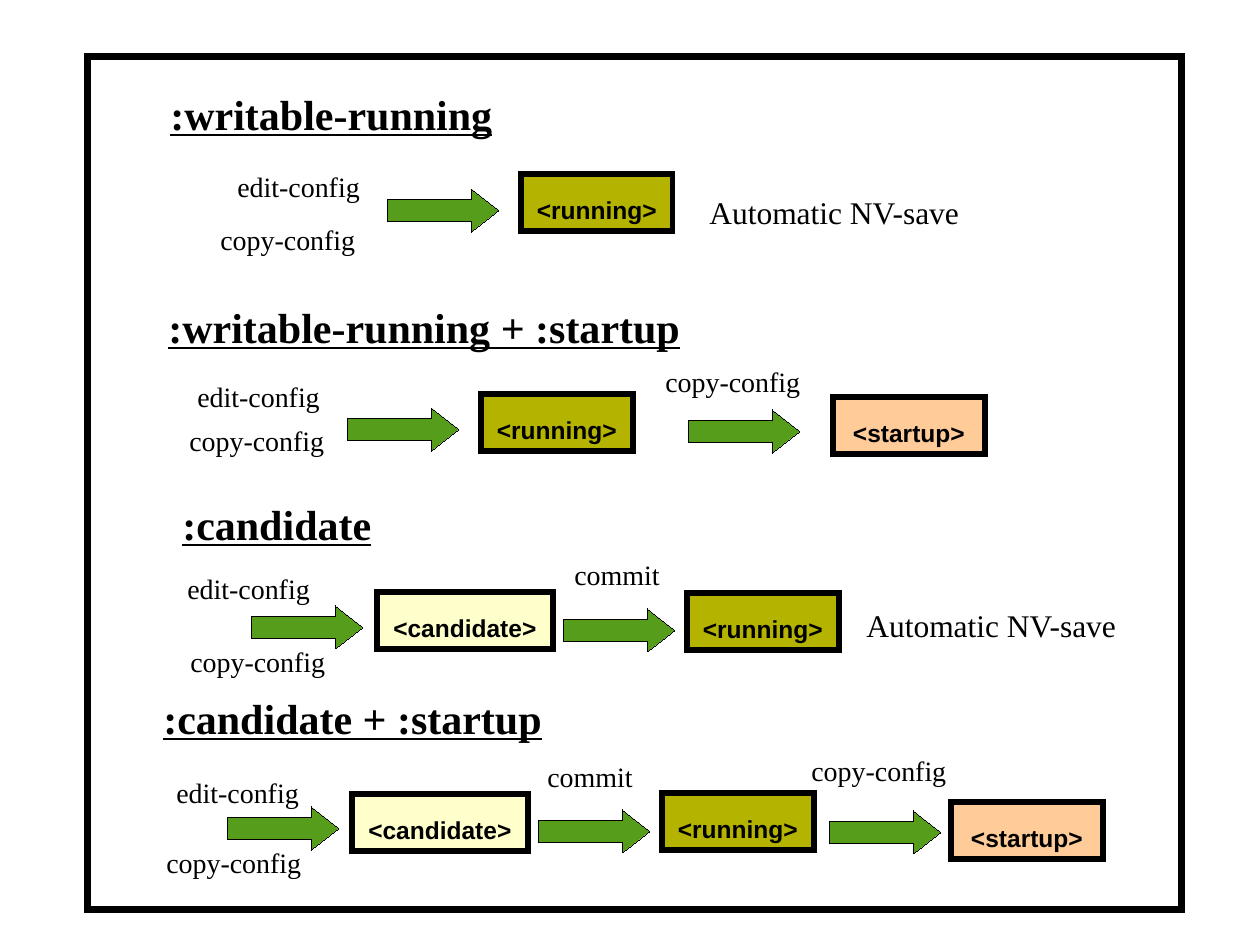
from lxml.etree import SubElement
from pptx import Presentation
from pptx.dml.color import RGBColor
from pptx.enum.shapes import MSO_SHAPE
from pptx.enum.text import MSO_ANCHOR, MSO_AUTO_SIZE, PP_ALIGN
from pptx.oxml.ns import qn
from pptx.util import Pt

PX = 914400 // 126
BLACK, WHITE, GREEN = "000000", "FFFFFF", "579D1C"
SERIF, SANS = "Times New Roman", "Arial"

FRAME = (87, 56, 1095, 854)
ARROW_SIZE = (111, 43)
STORE_HEIGHT = 57

# Datastore: width, fill
STORES = {
    "<running>": (152, "B3B300"),
    "<startup>": (152, "FFCC99"),
    "<candidate>": (176, "FFFFCC"),
}

# Label: width, height, font size
LABELS = {
    "edit-config": (150, 47, 16),
    "copy-config": (162, 47, 16),
    "commit": (113, 47, 16),
    "Automatic NV-save": (278, 50, 18),
}

# Each capability: heading (text, left, top, width), then what its flow holds
CAPABILITIES = [
    {
        "heading": (":writable-running", 158, 82, 348),
        "labels": [("edit-config", 225, 163), ("copy-config", 208, 216),
                   ("Automatic NV-save", 697, 187)],
        "arrows": [(388, 189)],
        "stores": [("<running>", 521, 174)],
    },
    {
        "heading": (":writable-running + :startup", 156, 295, 537),
        "labels": [("edit-config", 185, 373), ("copy-config", 177, 417),
                   ("copy-config", 653, 358)],
        "arrows": [(348, 408), (689, 410)],
        "stores": [("<running>", 481, 394), ("<startup>", 833, 397)],
    },
    {
        "heading": (":candidate", 170, 492, 214),
        "labels": [("edit-config", 175, 565), ("copy-config", 178, 638),
                   ("commit", 562, 551), ("Automatic NV-save", 854, 600)],
        "arrows": [(252, 606), (564, 609)],
        "stores": [("<candidate>", 377, 592), ("<running>", 687, 593)],
    },
    {
        "heading": (":candidate + :startup", 151, 686, 404),
        "labels": [("edit-config", 164, 769), ("copy-config", 154, 839),
                   ("commit", 535, 753), ("copy-config", 799, 747)],
        "arrows": [(228, 807), (539, 810), (830, 811)],
        "stores": [("<candidate>", 352, 794), ("<running>", 662, 793),
                   ("<startup>", 951, 802)],
    },
]


def color(hex_value):
    return RGBColor.from_string(hex_value)


def add_shape(slide, kind, box, fill, line_width):
    shape = slide.shapes.add_shape(kind, *(value * PX for value in box))
    shape.shadow.inherit = False
    shape.fill.solid()
    shape.fill.fore_color.rgb = color(fill)
    shape.line.color.rgb = color(BLACK)
    # The width is written directly, as the property drops a hairline's zero
    outline = shape.line._get_or_add_ln()
    outline.set("w", str(Pt(line_width)))
    SubElement(outline, qn("a:miter"), lim="800000")
    return shape


def write(shape, text, font_name, size, bold=False, underline=None):
    paragraph = shape.text_frame.paragraphs[0]
    paragraph.text = text
    font = paragraph.runs[0].font
    font.name, font.size = font_name, Pt(size)
    font.bold, font.underline = bold, underline
    font.color.rgb = color(BLACK)
    return paragraph


def add_text(slide, text, box, size, **style):
    text_box = slide.shapes.add_textbox(*(value * PX for value in box))
    text_box.text_frame.word_wrap = False
    text_box.text_frame.auto_size = MSO_AUTO_SIZE.SHAPE_TO_FIT_TEXT
    write(text_box, text, SERIF, size, **style)


def add_arrow(slide, left, top):
    arrow = add_shape(slide, MSO_SHAPE.RIGHT_ARROW, (left, top, *ARROW_SIZE), GREEN, 0)
    arrow.adjustments[0] = 0.5
    arrow.adjustments[1] = 0.64


def add_store(slide, name, left, top):
    width, fill = STORES[name]
    store = add_shape(slide, MSO_SHAPE.RECTANGLE, (left, top, width, STORE_HEIGHT), fill, 3)
    store.text_frame.vertical_anchor = MSO_ANCHOR.TOP
    paragraph = write(store, name, SANS, 14, bold=True)
    paragraph.alignment = PP_ALIGN.CENTER
    paragraph.line_spacing = 1.5


def main():
    presentation = Presentation()
    presentation.slide_width = 1260 * PX
    presentation.slide_height = 945 * PX
    slide = presentation.slides.add_slide(presentation.slide_layouts[6])

    add_shape(slide, MSO_SHAPE.RECTANGLE, FRAME, WHITE, 4)
    for capability in CAPABILITIES:
        heading, left, top, width = capability["heading"]
        add_text(slide, heading, (left, top, width, 63), 24, bold=True, underline=True)
        for label, left, top in capability["labels"]:
            width, height, size = LABELS[label]
            add_text(slide, label, (left, top, width, height), size)
        for left, top in capability["arrows"]:
            add_arrow(slide, left, top)
        for name, left, top in capability["stores"]:
            add_store(slide, name, left, top)

    presentation.save("out.pptx")


if __name__ == "__main__":
    main()
